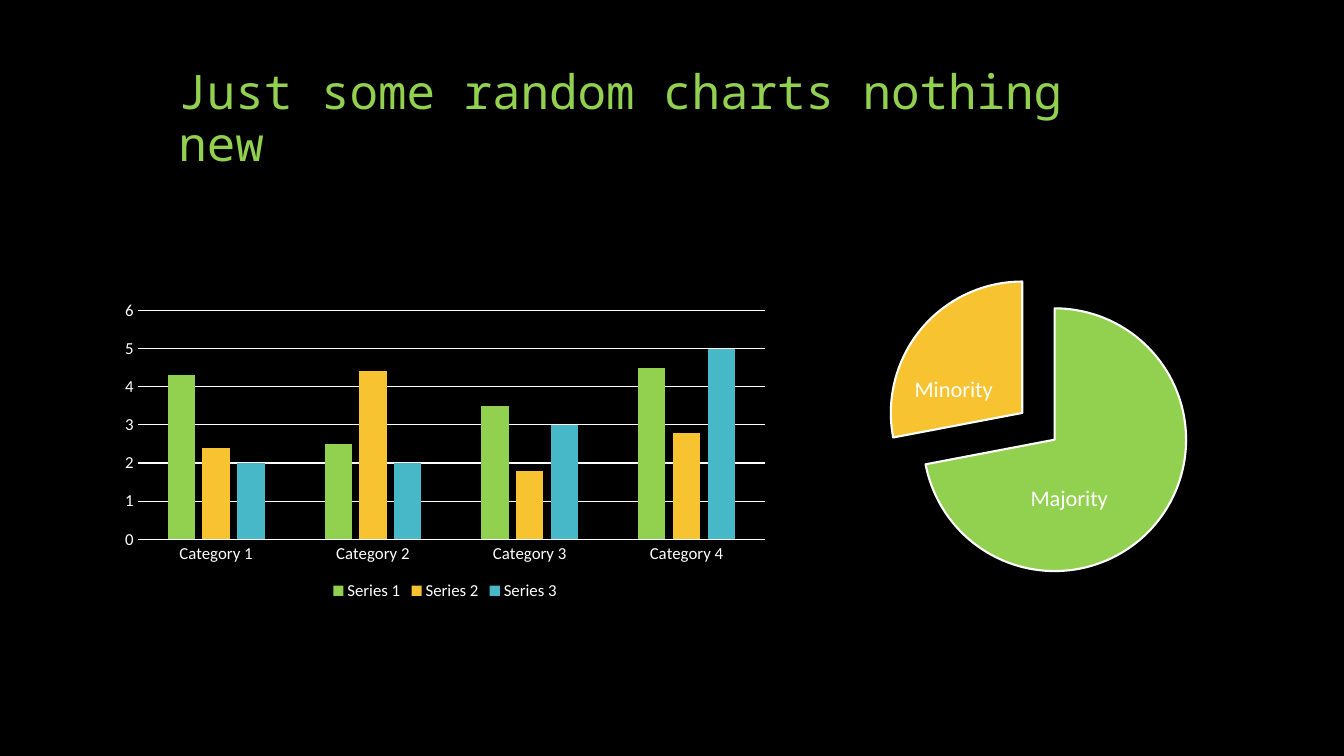
import pptx
import pptx.chart.data
import pptx.dml.color
import pptx.enum.chart
import pptx.enum.text
import pptx.oxml
import pptx.util
from dataclasses import dataclass

Inches = pptx.util.Inches
Pt = pptx.util.Pt

TITLE = "Just some random charts nothing new"
TITLE_BOX = (1.67, 0.5, 10, 1.25)

CATEGORIES = ["Category 1", "Category 2", "Category 3", "Category 4"]
COLUMN_SERIES = {
    "Series 1": (4.3, 2.5, 3.5, 4.5),
    "Series 2": (2.4, 4.4, 1.8, 2.8),
    "Series 3": (2, 2, 3, 5),
}
COLUMN_BOX = (1.11, 2.92, 6.61, 3.08)

PIE_CATEGORIES = ["1", "2"]
PIE_SERIES = {"Series 1": (72, 28)}
PIE_BOX = (7.83, 2.58, 4.94, 3.3)
PIE_EXPLOSION = 16
PIE_LABELS = [
    ("Majority", (10.11, 4.75, 0.99, 0.37)),
    ("Minority", (8.96, 3.67, 1, 0.37)),
]


@dataclass(frozen=True)
class Theme:
    background: str = "000000"
    text: str = "FFFFFF"
    accents: tuple = ("92D050", "F7C331", "47B8C7")
    title_font: str = "Noto Sans Mono"
    body_font: str = "Calibri"
    title_size: int = 34
    label_size: int = 16
    axis_size: int = 12
    grid_width: float = 0.75
    slice_width: float = 1.5


theme = Theme()


def rgb(color):
    return pptx.dml.color.RGBColor.from_string(color)


def place(box):
    return [Inches(length) for length in box]


def format_font(font, name, size, color):
    font.name = name
    font.size = Pt(size)
    font.color.rgb = rgb(color)


def paint(target, color):
    target.format.fill.solid()
    target.format.fill.fore_color.rgb = rgb(color)


def outline(line, width):
    line.color.rgb = rgb(theme.text)
    line.width = Pt(width)


def write_text(shape, text, *, font=theme.body_font, size=theme.label_size,
               color=theme.text, align=pptx.enum.text.PP_ALIGN.CENTER,
               anchor=pptx.enum.text.MSO_ANCHOR.TOP, wrap=False,
               auto_size=pptx.enum.text.MSO_AUTO_SIZE.SHAPE_TO_FIT_TEXT,
               line_spacing=None):
    frame = shape.text_frame
    frame.word_wrap = wrap
    frame.auto_size = auto_size
    frame.vertical_anchor = anchor
    paragraph = frame.paragraphs[0]
    paragraph.alignment = align
    paragraph.line_spacing = line_spacing
    run = paragraph.add_run()
    run.text = text
    format_font(run.font, font, size, color)


def add_chart(slide, kind, box, categories, series):
    data = pptx.chart.data.CategoryChartData()
    data.categories = categories
    for name, values in series.items():
        data.add_series(name, values)
    chart = slide.shapes.add_chart(kind, *place(box), data).chart
    chart.has_title = False
    chart.has_legend = False
    format_font(chart.font, theme.body_font, theme.axis_size, theme.text)
    return chart


def add_column_chart(slide):
    chart = add_chart(slide, pptx.enum.chart.XL_CHART_TYPE.COLUMN_CLUSTERED,
                      COLUMN_BOX, CATEGORIES, COLUMN_SERIES)
    plot = chart.plots[0]
    plot.vary_by_categories = False
    plot.gap_width = 219
    plot.overlap = -27
    for series, color in zip(plot.series, theme.accents):
        paint(series, color)

    for axis in (chart.category_axis, chart.value_axis):
        axis.major_tick_mark = pptx.enum.chart.XL_TICK_MARK.NONE
        axis.minor_tick_mark = pptx.enum.chart.XL_TICK_MARK.NONE
        format_font(axis.tick_labels.font, theme.body_font, theme.axis_size, theme.text)
    outline(chart.category_axis.format.line, theme.grid_width)
    chart.value_axis.format.line.fill.background()
    outline(chart.value_axis.major_gridlines.format.line, theme.grid_width)

    chart.has_legend = True
    chart.legend.position = pptx.enum.chart.XL_LEGEND_POSITION.BOTTOM
    chart.legend.include_in_layout = False
    format_font(chart.legend.font, theme.body_font, theme.axis_size, theme.text)


def add_pie_chart(slide):
    chart = add_chart(slide, pptx.enum.chart.XL_CHART_TYPE.PIE,
                      PIE_BOX, PIE_CATEGORIES, PIE_SERIES)
    plot = chart.plots[0]
    plot.vary_by_categories = True
    series = plot.series[0]
    for index, color in enumerate(theme.accents[:len(PIE_CATEGORIES)]):
        point = series.points[index]
        paint(point, color)
        outline(point.format.line, theme.slice_width)
    explosion = pptx.oxml.parse_xml(
        '<c:explosion xmlns:c="http://schemas.openxmlformats.org/drawingml/2006/chart"'
        f' val="{PIE_EXPLOSION}"/>')
    first_point = series._element.xpath("c:dPt")[0]
    first_point.addprevious(explosion)


def main():
    presentation = pptx.Presentation()
    presentation.slide_width = Inches(13.33)
    presentation.slide_height = Inches(7.5)
    slide = presentation.slides.add_slide(presentation.slide_layouts.get_by_name("Title Only"))
    slide.background.fill.solid()
    slide.background.fill.fore_color.rgb = rgb(theme.background)

    title = slide.shapes.title
    title.left, title.top, title.width, title.height = place(TITLE_BOX)
    write_text(title, TITLE, font=theme.title_font, size=theme.title_size,
               color=theme.accents[0], align=pptx.enum.text.PP_ALIGN.LEFT,
               anchor=pptx.enum.text.MSO_ANCHOR.BOTTOM, wrap=True,
               auto_size=pptx.enum.text.MSO_AUTO_SIZE.NONE, line_spacing=0.9)

    add_column_chart(slide)
    add_pie_chart(slide)
    for text, box in PIE_LABELS:
        write_text(slide.shapes.add_textbox(*place(box)), text)

    presentation.save("out.pptx")


if __name__ == "__main__":
    main()
